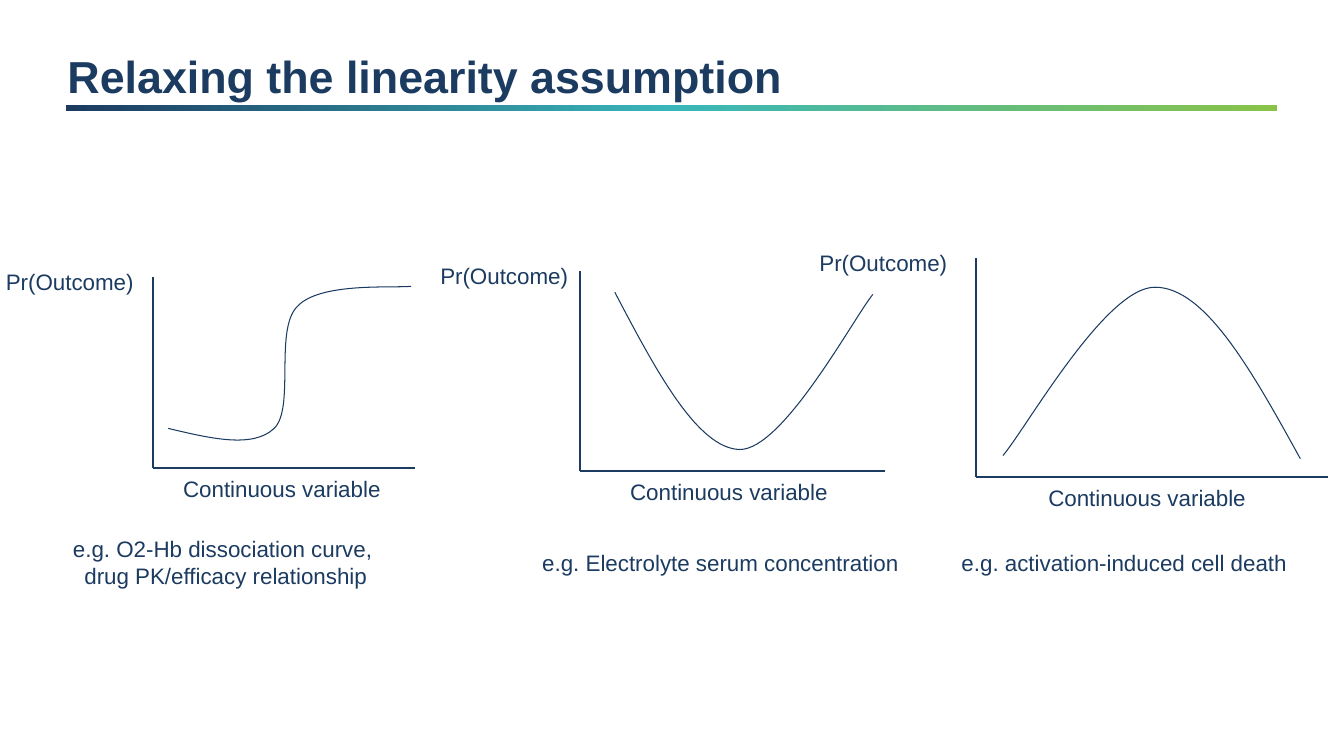
from copy import deepcopy

from lxml import etree
from pptx import Presentation
from pptx.dml.color import RGBColor
from pptx.enum import shapes, text
from pptx.oxml import ns
from pptx.util import Pt

COLORS = {"navy": "1C3B61", "curve": "1A3A61", "teal": "39B6B9", "green": "89C348"}
FONT = "Arial"
LEFT, CENTER = text.PP_ALIGN.LEFT, text.PP_ALIGN.CENTER

PLOTS = [
    {
        "box": (109.4, 198, 187.2, 136),
        "outcome_gap": 112.3,
        "curve": [(10.8, 108), (41, 115.2), (71.3, 122.4), (86.4, 108), (101.5, 93.6),
                  (86.4, 37.4), (103, 20.9), (118.8, 3.6), (169.9, 7.9), (184.3, 6.5)],
    },
    {
        "box": (414, 193.7, 218.2, 142.6),
        "outcome_gap": 106.6,
        "curve": [(25.2, 15.1), (54.7, 71.3), (84.2, 126.7), (114.5, 127.4),
                  (145.4, 127.4), (195.1, 34.6), (209.5, 16.6)],
    },
    {
        "box": (697, 184.3, 251.3, 156.2),
        "outcome_gap": 118.8,
        "curve": [(231.8, 143.3), (198, 82.1), (164.2, 20.9), (128.2, 20.9),
                  (92.9, 20.2), (36, 121.7), (19.4, 141.1)],
    },
]

EXAMPLES = [
    ((37.4, 378.7, 247.7, 46), ["e.g. O2-Hb dissociation curve, ", "drug PK/efficacy relationship"], CENTER),
    ((380.2, 388.8, 279.4, 26.6), ["e.g. Electrolyte serum concentration"], LEFT),
    ((679.7, 388.8, 279.4, 26.6), ["e.g. activation-induced cell death"], LEFT),
]


def rgb(name):
    """Return the named colour."""
    return RGBColor.from_string(COLORS[name])


def style(paragraph, size, align, bold=False):
    """Set the alignment and font of a paragraph."""
    paragraph.alignment = align
    paragraph.font.name = FONT
    paragraph.font.size = Pt(size)
    paragraph.font.bold = bold
    paragraph.font.color.rgb = rgb("navy")


def add_label(parent, box, lines, align):
    """Write lines of label text in a box."""
    frame = parent.add_textbox(*map(Pt, box)).text_frame
    frame.word_wrap = True
    frame.text = "\n".join(lines)
    for paragraph in frame.paragraphs:
        style(paragraph, 16, align)


def add_axis(parent, start, end):
    """Draw one axis line."""
    axis = parent.add_connector(shapes.MSO_CONNECTOR.STRAIGHT, *map(Pt, start + end))
    axis.line.color.rgb = rgb("navy")
    axis.line.width = Pt(1.5)
    etree.SubElement(axis._element.spPr, ns.qn("a:effectLst"))


def add_curve(parent, left, top, points):
    """Draw a chain of cubic Bézier arcs through a start and triples of points."""
    start, *controls = [(Pt(left + x), Pt(top + y)) for x, y in points]
    builder = parent.build_freeform(*start)
    builder.add_line_segments(controls, close=False)
    curve = builder.convert_to_shape()
    curve.shadow.inherit = False
    curve.fill.background()
    curve.line.color.rgb = rgb("curve")
    curve.line.width = Pt(0.75)
    outline = next(curve._element.iter(ns.qn("a:path")))
    segments = outline.findall(ns.qn("a:lnTo"))
    for first in range(0, len(segments), 3):
        arc = etree.SubElement(outline, ns.qn("a:cubicBezTo"))
        for segment in segments[first:first + 3]:
            arc.append(segment[0])
            outline.remove(segment)


def add_plot(slide, box, outcome_gap, curve):
    """Draw axes, axis labels and a curve in the box spanned by the axes."""
    left, top, width, height = box
    bottom = top + height
    plot = slide.shapes.add_group_shape().shapes
    add_axis(plot, (left, bottom), (left, top))
    add_axis(plot, (left, bottom), (left + width, bottom))
    add_label(plot, (left - outcome_gap, top - 10, outcome_gap + 5, 26.6), ["Pr(Outcome)"], LEFT)
    add_label(plot, (left + 3, bottom + 1.8, width * 0.95, 26.6), ["Continuous variable"], CENTER)
    add_curve(plot, left, top, curve)


def add_heading(slide, box):
    """Place the title in the box with a gradient rule beneath it."""
    left, top, width, height = box
    title = slide.shapes.title
    title.left, title.top, title.width, title.height = map(Pt, box)
    frame = title.text_frame
    frame.text = "Relaxing the linearity assumption"
    frame.vertical_anchor = text.MSO_ANCHOR.BOTTOM
    frame.margin_left = frame.margin_right = frame.margin_top = frame.margin_bottom = 0
    style(frame.paragraphs[0], 32, LEFT, bold=True)

    rule = slide.shapes.add_shape(
        shapes.MSO_SHAPE.RECTANGLE, Pt(left - 1), Pt(top + height + 1.5), Pt(width + 1.5), Pt(4.3))
    rule.shadow.inherit = False
    rule.line.fill.background()
    rule.fill.gradient()
    rule.fill.gradient_angle = 0
    stops = next(rule._element.iter(ns.qn("a:gsLst")))
    stops.insert(1, deepcopy(stops[0]))
    for stop, position, name in zip(rule.fill.gradient_stops, (0, 0.5, 1), ("navy", "teal", "green")):
        stop.position = position
        stop.color.rgb = rgb(name)


def main():
    """Build and save the slide."""
    deck = Presentation()
    deck.slide_width, deck.slide_height = Pt(960), Pt(540)
    slide = deck.slides.add_slide(deck.slide_layouts[5])
    add_heading(slide, (48.2, 19.4, 863.3, 54))
    for plot in PLOTS:
        add_plot(slide, **plot)
    for box, lines, align in EXAMPLES:
        add_label(slide.shapes, box, lines, align)
    deck.save("out.pptx")


if __name__ == "__main__":
    main()
